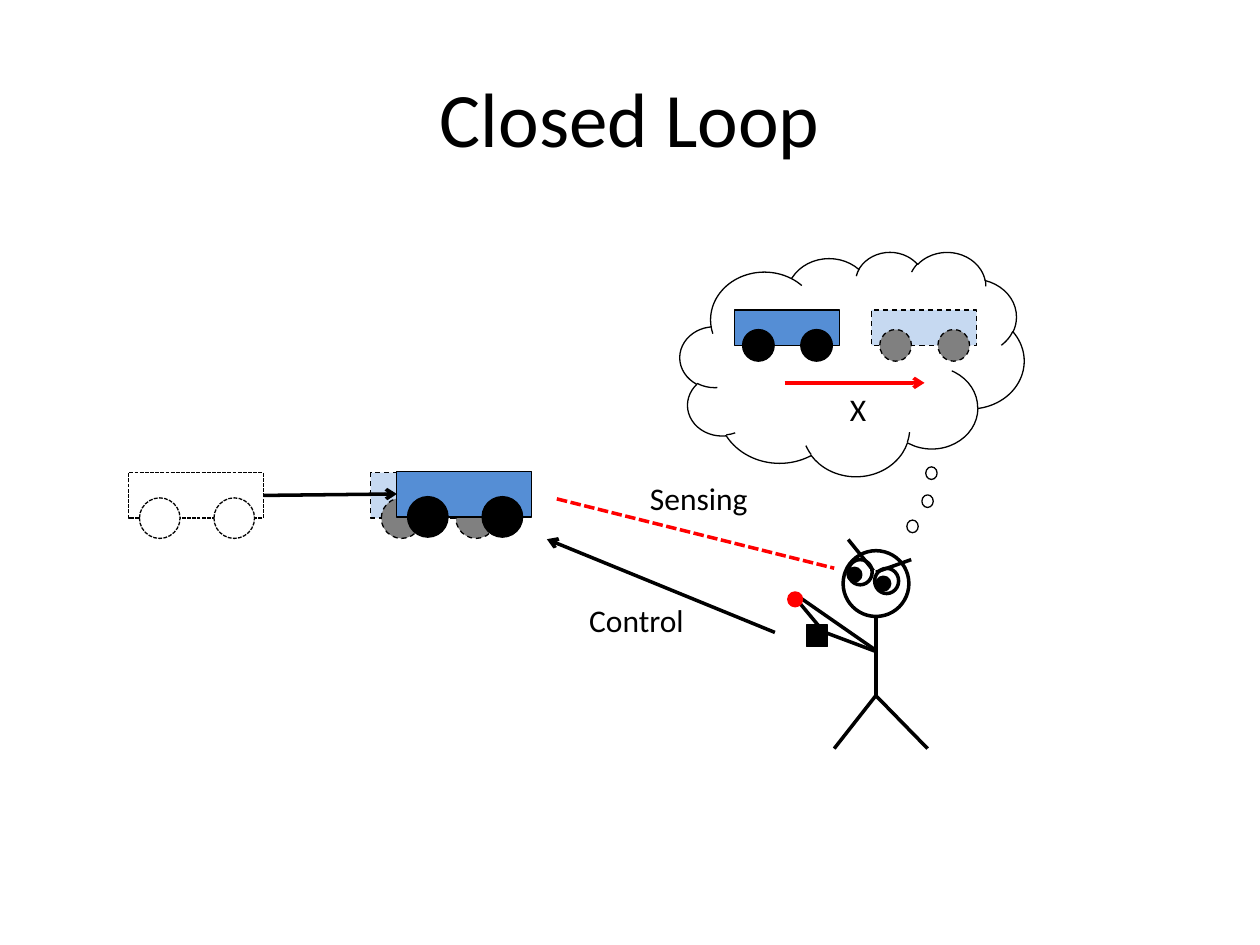
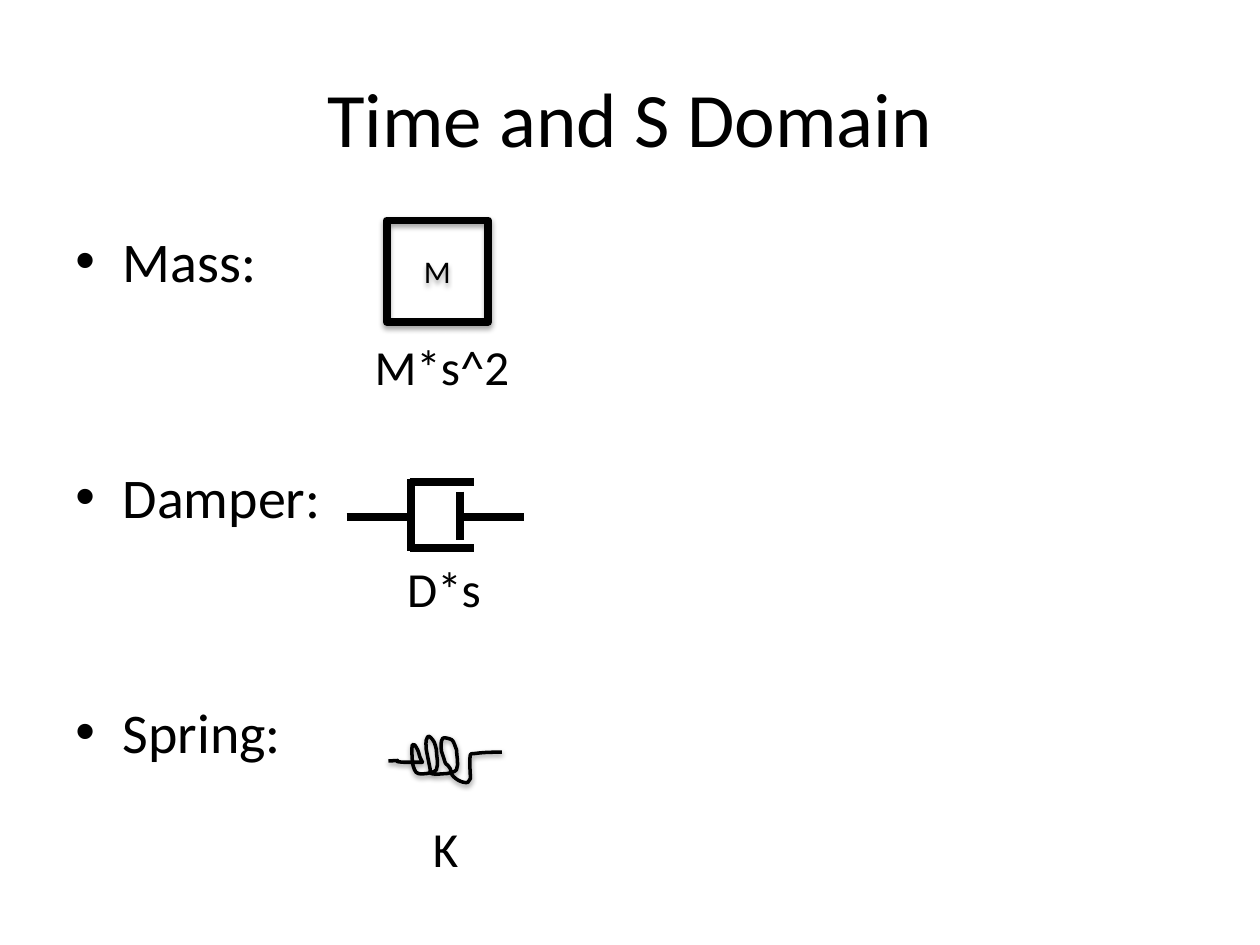
from dataclasses import dataclass

from lxml.etree import SubElement
from pptx import Presentation
from pptx.dml.color import RGBColor
from pptx.enum.dml import MSO_LINE
from pptx.enum.shapes import MSO_CONNECTOR, MSO_SHAPE
from pptx.enum.text import MSO_ANCHOR, PP_ALIGN
from pptx.oxml.ns import qn
from pptx.util import Pt


@dataclass(frozen=True)
class Theme:
    """Colours, font, type sizes and line widths shared by the slides."""

    black: str = "000000"
    white: str = "FFFFFF"
    red: str = "FF0000"
    blue: str = "558ED5"
    pale_blue: str = "C6D9F1"
    grey: str = "808080"
    font: str = "Calibri"
    title: int = 44
    body: int = 32
    formula: int = 28
    label: int = 18
    thin: float = 0.75
    medium: float = 2
    thick: float = 4.5


THEME = Theme()
SOLID_CART = (THEME.blue, THEME.black, None)
FADED_CART = (THEME.pale_blue, THEME.grey, MSO_LINE.DASH)
EMPTY_CART = (THEME.white, THEME.white, MSO_LINE.SQUARE_DOT)
SPRING_START = (90, 14)
SPRING_CURVES = (
    (83, 14, 76, 14, 69, 15), (68, 15, 65, 15, 65, 16), (64, 22, 65, 29, 65, 35),
    (64, 36, 64, 37, 63, 38), (58, 39, 51, 34, 50, 31), (50, 29, 49, 28, 49, 27),
    (45, 21, 46, 26, 44, 19), (43, 17, 43, 15, 42, 13), (42, 10, 41, 6, 43, 3),
    (44, 2, 48, 3, 50, 4), (52, 5, 53, 10, 54, 12), (54, 17, 56, 23, 54, 28),
    (53, 30, 46, 31, 46, 31), (42, 31, 38, 32, 34, 31), (33, 30, 33, 28, 33, 27),
    (32, 22, 31, 17, 30, 12), (30, 9, 29, 5, 31, 2), (32, 0, 34, 3, 35, 4),
    (37, 6, 38, 12, 38, 12), (38, 17, 40, 23, 38, 28), (37, 30, 30, 31, 30, 31),
    (28, 31, 24, 32, 22, 30), (20, 28, 19, 22, 19, 22), (19, 18, 18, 12, 19, 8),
    (20, 7, 22, 9, 22, 10), (24, 13, 24, 15, 25, 18), (25, 18, 27, 22, 27, 22),
    (22, 22, 17, 22, 12, 22), (-2, 21, 17, 20, 0, 21),
)


def write_text(shape, lines, *, size, align=PP_ALIGN.LEFT, anchor=MSO_ANCHOR.TOP,
               wrap=True, bullet=False, gap=0):
    """Fill a shape with one paragraph per line in the given format."""
    frame = shape.text_frame
    frame.word_wrap = wrap
    frame.vertical_anchor = anchor
    for index, line in enumerate(lines):
        paragraph = frame.add_paragraph() if index else frame.paragraphs[0]
        paragraph.alignment = align
        if bullet:
            properties = paragraph._p.get_or_add_pPr()
            properties.set("marL", str(Pt(27)))
            properties.set("indent", str(-Pt(27)))
            SubElement(properties, qn("a:buFont")).set("typeface", "Arial")
            SubElement(properties, qn("a:buChar")).set("char", "•")
        if index:
            paragraph.space_before = Pt(gap)
        run = paragraph.add_run()
        run.text = line
        run.font.name = THEME.font
        run.font.size = Pt(size)
        run.font.color.rgb = RGBColor.from_string(THEME.black)


def add_text(slide, box, *lines, **text_format):
    """Add a text box at left, top, width, height."""
    shape = slide.shapes.add_textbox(*map(Pt, box))
    write_text(shape, lines, **text_format)


def style_line(line, color, width, dash=None):
    """Set the colour, width and dash of a line."""
    line.color.rgb = RGBColor.from_string(color)
    line.width = Pt(width)
    if dash:
        line.dash_style = dash


def add_shape(slide, kind, box, fill=None, line=THEME.black, width=THEME.thin, dash=None):
    """Add a preset shape without a shadow."""
    shape = slide.shapes.add_shape(kind, *map(Pt, box))
    shape.shadow.inherit = False
    if fill:
        shape.fill.solid()
        shape.fill.fore_color.rgb = RGBColor.from_string(fill)
    else:
        shape.fill.background()
    style_line(shape.line, line, width, dash)
    return shape


def add_line(slide, left, top, ends, color=THEME.black, width=THEME.medium, dash=None,
             arrow=False):
    """Draw a straight line whose ends are relative to left and top."""
    x1, y1, x2, y2 = ends
    points = (left + x1, top + y1, left + x2, top + y2)
    connector = slide.shapes.add_connector(MSO_CONNECTOR.STRAIGHT, *map(Pt, points))
    style_line(connector.line, color, width, dash)
    if arrow:
        SubElement(connector.line._get_or_add_ln(), qn("a:tailEnd")).set("type", "arrow")
    SubElement(connector._element.spPr, qn("a:effectLst"))


def add_shadow(shape, opacity, distance):
    """Give a shape a soft shadow straight below it."""
    shape.shadow.inherit = False
    effects = shape._element.spPr.find(qn("a:effectLst"))
    shadow = SubElement(effects, qn("a:outerShdw"), blurRad=str(Pt(3.1)),
                        dist=str(Pt(distance)), dir="5400000", rotWithShape="0")
    color = SubElement(shadow, qn("a:srgbClr"), val=THEME.black)
    SubElement(color, qn("a:alpha"), val=str(opacity * 1000))


def add_title(slide, title):
    """Add the centred slide title."""
    add_text(slide, (36, 21.6, 648, 90), title, size=THEME.title,
             align=PP_ALIGN.CENTER, anchor=MSO_ANCHOR.MIDDLE)


def draw_cart(slide, left, top, style, scale=1.0):
    """Draw a cart with two wheels from its top left corner."""
    body, wheel, dash = style
    add_shape(slide, MSO_SHAPE.RECTANGLE, (left, top, 77 * scale, 26 * scale), body, dash=dash)
    size = 23.2 * scale
    for offset in (6.1, 48.7):
        box = (left + offset * scale, top + 14.4 * scale, size, size)
        add_shape(slide, MSO_SHAPE.OVAL, box, wheel, dash=dash)


def draw_thought(slide, left, top):
    """Draw the thought cloud with the expected cart motion."""
    add_line(slide, left, top, (59.8, 75, 139.7, 75), THEME.red, arrow=True)
    for offset, style in ((109.4, FADED_CART), (31, SOLID_CART)):
        draw_cart(slide, left + offset, top + 33.3, style, scale=0.78)
    add_shape(slide, MSO_SHAPE.CLOUD, (left, top, 196.6, 128.2))
    for x, y in ((129.6, 153.4), (138.2, 139), (140.4, 123)):
        add_shape(slide, MSO_SHAPE.OVAL, (left + x, top + y, 6.5, 7.2))
    add_text(slide, (left + 90, top + 75.5, 23.8, 28.8), "X", size=THEME.label, wrap=False)


def draw_operator(slide, left, top):
    """Draw the stick figure that holds the control box."""
    round_parts = (
        (33.7, 6.6, 37.6, 37.6, None, THEME.black),
        (36.6, 11.7, 13.7, 14.4, None, THEME.black),
        (51.7, 16.7, 13.7, 14.4, None, THEME.black),
        (36.6, 16.7, 7.2, 7.2, THEME.black, THEME.black),
        (53.1, 21.8, 7.2, 7.2, THEME.black, THEME.black),
        (2.7, 30.8, 7.2, 7.2, THEME.red, THEME.red),
    )
    limbs = (
        (52.4, 44.8, 52.4, 89.4), (52.4, 89.4, 82, 119.7), (52.4, 89.4, 28.6, 119.7),
        (23.6, 53.4, 52.4, 64.2), (9.2, 36.9, 19.3, 49), (9.9, 34, 52.4, 63.5),
        (36.6, 0.2, 51, 18), (52.4, 18.9, 72.6, 11.7),
    )
    for limb in limbs:
        add_line(slide, left, top, limb)
    for x, y, width, height, fill, line in round_parts:
        add_shape(slide, MSO_SHAPE.OVAL, (left + x, top + y, width, height), fill, line,
                  THEME.medium)
    add_shape(slide, MSO_SHAPE.RECTANGLE, (left + 12.8, top + 49, 12.2, 12.2), THEME.black)


def draw_cart_motion(slide, left, top):
    """Draw the start, expected and actual places of the cart."""
    draw_cart(slide, left, top, EMPTY_CART)
    draw_cart(slide, left + 138.2, top, FADED_CART)
    add_line(slide, left, top, (77, 13, 153.2, 12.2), arrow=True)
    draw_cart(slide, left + 153.2, top - 0.7, SOLID_CART)


def draw_feedback(slide, left, top):
    """Draw the sensing and control links with their labels."""
    add_line(slide, left, top, (5.7, 0, 164.2, 39.6), THEME.red, dash=MSO_LINE.SQUARE_DOT)
    add_line(slide, left, top, (130.3, 76.3, 0, 23), arrow=True)
    for label, x, y in (("Sensing", 51.8, -14.8), ("Control", 17.1, 54.7)):
        add_text(slide, (left + x, top + y, 70.2, 28.8), label, size=THEME.label, wrap=False)


def draw_mass(slide, left, top, size):
    """Draw the mass block."""
    block = add_shape(slide, MSO_SHAPE.RECTANGLE, (left, top, size, size), width=THEME.thick)
    add_shadow(block, 35, 1.8)
    write_text(block, ["M"], size=THEME.label, align=PP_ALIGN.CENTER, anchor=MSO_ANCHOR.MIDDLE)


def draw_damper(slide, left, top):
    """Draw the damper cylinder, piston and rods."""
    strokes = (
        (36.7, 0, 36.7, 41), (36, 1.7, 72.7, 1.7), (36, 39.6, 72.7, 39.6),
        (0, 22, 36.7, 22), (64.8, 22, 101.5, 22), (64.8, 7.4, 64.8, 34.8),
    )
    for stroke in strokes:
        add_line(slide, left, top, stroke, width=THEME.thick)


def draw_spring(slide, left, top, width):
    """Draw the hand-drawn spring coil with Bézier curves."""
    scale = width / SPRING_START[0]

    def place(x, y):
        """Return the slide position of a coil point."""
        return Pt(left + x * scale), Pt(top + y * scale)

    builder = slide.shapes.build_freeform(*place(*SPRING_START))
    builder.add_line_segments([place(*curve[4:]) for curve in SPRING_CURVES], close=False)
    spring = builder.convert_to_shape()
    segments = list(spring._element.iter(qn("a:lnTo")))
    for segment, curve in zip(segments, SPRING_CURVES):
        segment.tag = qn("a:cubicBezTo")
        for index, control in enumerate((curve[:2], curve[2:4])):
            x, y = place(*control)
            point = segment.makeelement(
                qn("a:pt"), {"x": str(x - spring.left), "y": str(y - spring.top)})
            segment.insert(index, point)
    spring.fill.background()
    style_line(spring.line, THEME.black, THEME.medium)
    add_shadow(spring, 38, 1.6)


def build_closed_loop(slide):
    """Build the slide on feedback control of a cart."""
    add_title(slide, "Closed Loop")
    draw_feedback(slide, 312.5, 285.1)
    draw_operator(slide, 448.1, 308.1)
    draw_thought(slide, 388.6, 143.8)
    draw_cart_motion(slide, 73.6, 270.1)


def build_domains(slide):
    """Build the slide on the mechanical elements and their formulas."""
    add_title(slide, "Time and S Domain")
    add_text(slide, (36, 126, 648, 356.4), "Mass:", "Damper:", "Spring:",
             size=THEME.body, bullet=True, gap=96.2)
    draw_mass(slide, 221, 126, 58)
    draw_damper(slide, 198, 273.6)
    draw_spring(slide, 222, 419.8, 64.8)
    formulas = (("M*s^2", 207, 189, 92.2), ("D*s", 225.6, 315.4, 56.9),
                ("K", 240.3, 464.4, 29.5))
    for formula, left, top, width in formulas:
        add_text(slide, (left, top, width, 63.4), formula, size=THEME.formula, wrap=False)


def main():
    """Build and save the presentation."""
    presentation = Presentation()
    presentation.slide_width, presentation.slide_height = Pt(720), Pt(540)
    for build in (build_closed_loop, build_domains):
        build(presentation.slides.add_slide(presentation.slide_layouts[6]))
    presentation.save("out.pptx")


if __name__ == "__main__":
    main()
